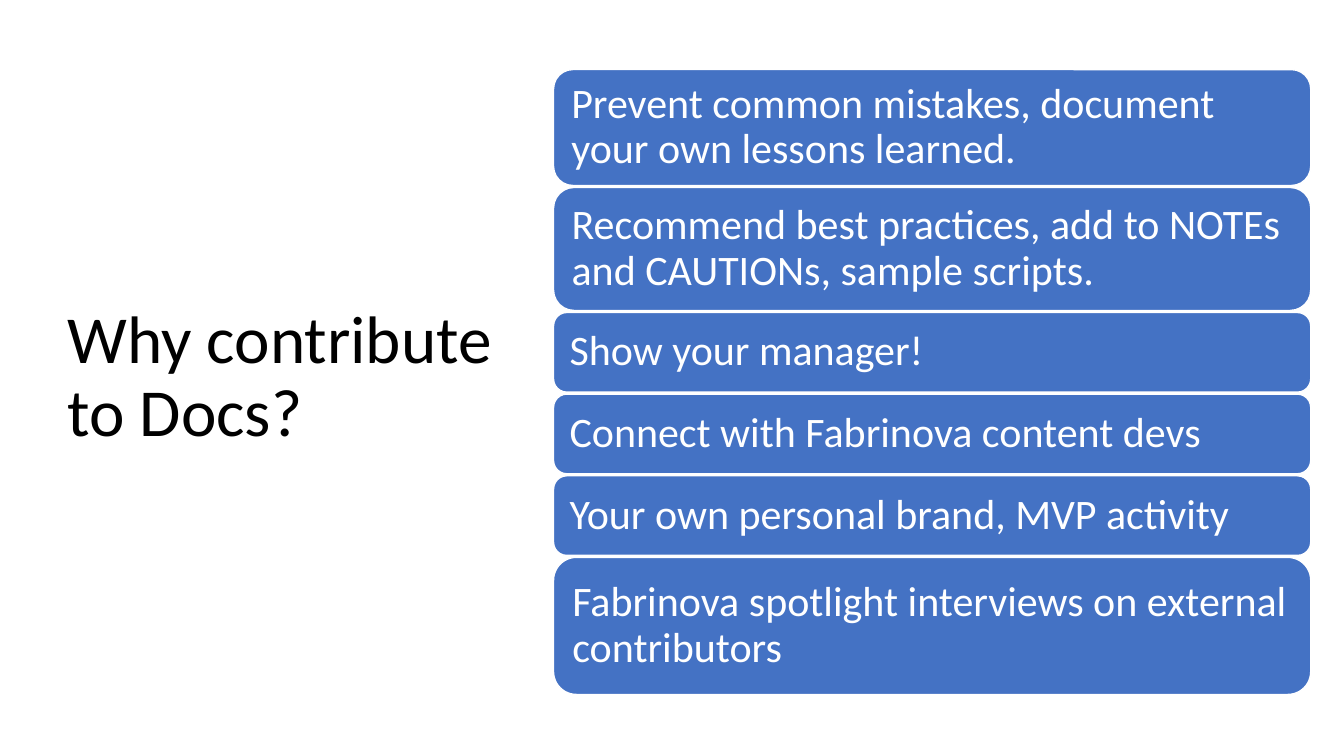
"""Build the slide that lists reasons to contribute to the docs."""
from pptx import Presentation
from pptx.dml.color import RGBColor as Rgb
from pptx.enum.shapes import MSO_SHAPE as Kind
from pptx.enum.text import MSO_ANCHOR as Anchor, PP_ALIGN as Align
from pptx.util import Inches, Pt

CELL = Inches(0.01)
COLS, ROWS = 1333, 750
LEFT, TOP, WIDE, GAP = 549, 69, 751, 2
INK = {"text": "000000", "card": "4472C4", "light": "FFFFFF"}
CARDS = [
    (115, "Prevent common mistakes, document your own lessons learned."),
    (122, "Recommend best practices, add to NOTEs and CAUTIONs, sample scripts."),
    (79, "Show your manager!"),
    (79, "Connect with Fabrinova content devs"),
    (79, "Your own personal brand, MVP activity"),
    (136, "Fabrinova spotlight interviews on external contributors"),
]


def hue(name):
    return Rgb.from_string(INK[name])


def grid(*spots):
    return [spot * CELL for spot in spots]


def write(frame, lines, size, tint):
    frame.word_wrap = True
    frame.vertical_anchor = Anchor.MIDDLE
    para = frame.paragraphs[0]
    para.alignment = Align.LEFT
    para.line_spacing = 0.9
    for num, line in enumerate(lines):
        if num:
            para.add_line_break()
        run = para.add_run()
        run.text = line
        run.font.name = "Calibri"
        run.font.size = Pt(size)
        run.font.color.rgb = hue(tint)


def title(slide, lines):
    box = slide.shapes.add_textbox(*grid(57, 123, 567, 504))
    write(box.text_frame, lines, 48, "text")


def card(slide, top, high, text):
    shape = slide.shapes.add_shape(
        Kind.ROUNDED_RECTANGLE, *grid(LEFT, top, WIDE, high))
    shape.shadow.inherit = False
    shape.fill.solid()
    shape.fill.fore_color.rgb = hue("card")
    shape.line.color.rgb = hue("light")
    shape.line.width = Pt(1)
    frame = shape.text_frame
    frame.margin_left = frame.margin_right = 12 * CELL
    frame.margin_top = frame.margin_bottom = 12 * CELL
    write(frame, [text], 30, "light")


def main():
    deck = Presentation()
    deck.slide_width, deck.slide_height = grid(COLS, ROWS)
    slide = deck.slides.add_slide(deck.slide_layouts[6])
    title(slide, ["Why contribute", "to Docs?"])
    top = TOP
    for high, text in CARDS:
        card(slide, top, high, text)
        top += high + GAP
    deck.save("out.pptx")


if __name__ == "__main__":
    main()
